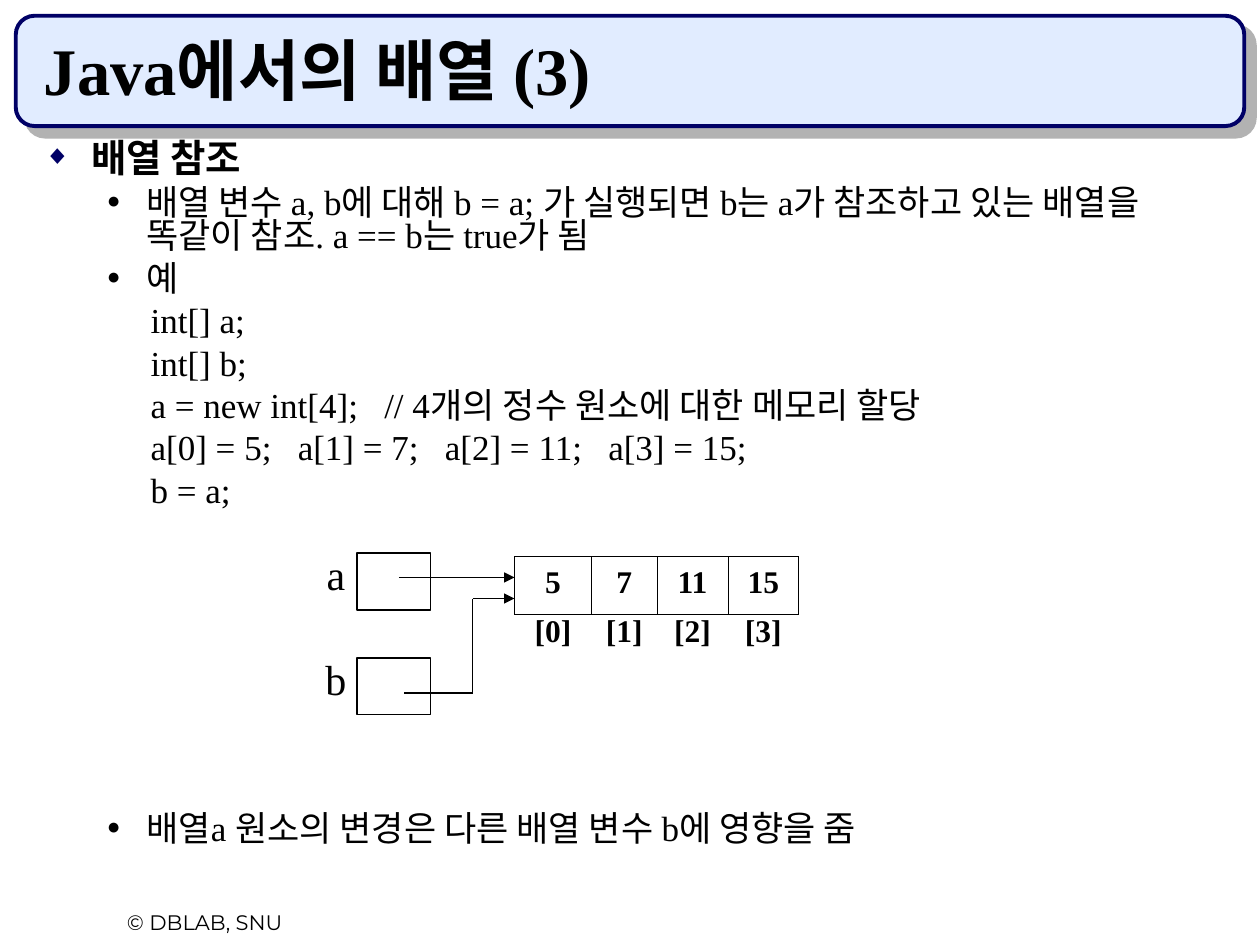
from itertools import accumulate

from lxml import etree
from pptx import Presentation
from pptx.dml.color import RGBColor
from pptx.enum import shapes, text
from pptx.oxml import parse_xml
from pptx.oxml.ns import nsdecls, qn
from pptx.util import Pt

SERIF = "Times New Roman"
BLACK, NAVY, PALE, GREY = "000000", "000066", "E1ECFF", "B2B2B2"
CENTER = text.PP_ALIGN.CENTER

TITLE = "Java에서의 배열 (3)"
FOOTER = "© DBLAB, SNU"
# (style, text, space before)
BODY = [
    ("topic", "배열 참조", 0),
    ("point", "배열 변수 a, b에 대해 b = a; 가 실행되면 b는 a가 참조하고 있는 "
              "배열을 똑같이 참조. a == b는 true가 됨", 5),
    ("point", "예", 5),
    ("code", "     int[] a;", 5),
    ("code", "     int[] b;", 5),
    ("code", "     a = new int[4];   // 4개의 정수 원소에 대한 메모리 할당", 5),
    ("code", "     a[0] = 5;   a[1] = 7;   a[2] = 11;   a[3] = 15;", 5),
    ("code", "     b = a;", 5),
    ("point", "배열a 원소의 변경은 다른 배열 변수 b에 영향을 줌", 174),
]
STYLES = {
    "topic": dict(size=22, bold=True, margin=27, hang=27, bullet=("◆", NAVY, 70)),
    "point": dict(size=20, margin=58.5, hang=22.5, bullet=("●", BLACK, 65)),
    "code": dict(size=20, margin=58.5, hang=22.5),
}
ARRAY = [["5", "7", "11", "15"], ["[0]", "[1]", "[2]", "[3]"]]
ARRAY_LEFT, ARRAY_TOP = 294, 318
COLUMN_WIDTHS, ROW_HEIGHTS = [44, 37.5, 40.5, 40.5], [33, 57]
VARIABLES = [("a", 316), ("b", 376)]
# (points along the path, ending at the array)
REFERENCES = [
    [(228, 330), (ARRAY_LEFT, 330)],
    [(231, 396), (270, 396), (270, 342), (ARRAY_LEFT, 342)],
]


def color(hex_string):
    return RGBColor.from_string(hex_string)


def add_bullet(paragraph, char, hex_string, percent):
    props = paragraph._p.get_or_add_pPr()
    for xml in (
        f'<a:buClr {nsdecls("a")}><a:srgbClr val="{hex_string}"/></a:buClr>',
        f'<a:buSzPct {nsdecls("a")} val="{percent * 1000}"/>',
        f'<a:buFont {nsdecls("a")} typeface="{SERIF}"/>',
        f'<a:buChar {nsdecls("a")} char="{char}"/>',
    ):
        props.append(parse_xml(xml))


def write(paragraph, words, size, font=SERIF, bold=False, align=None,
          spacing=None, before=0, margin=0, hang=0, bullet=None):
    if bullet:
        add_bullet(paragraph, *bullet)
    if margin:
        props = paragraph._p.get_or_add_pPr()
        props.set("marL", str(Pt(margin)))
        props.set("indent", str(-Pt(hang)))
    if before:
        paragraph.space_before = Pt(before)
    paragraph.alignment = align
    paragraph.line_spacing = spacing
    run = paragraph.add_run()
    run.text = words
    run.font.size = Pt(size)
    run.font.name = font
    run.font.bold = bold
    run.font.color.rgb = color(BLACK)


def add_frame(slide, left, top, width, height, anchor=text.MSO_ANCHOR.TOP):
    frame = slide.shapes.add_textbox(Pt(left), Pt(top), Pt(width), Pt(height)).text_frame
    frame.word_wrap = True
    frame.vertical_anchor = anchor
    return frame


def add_box(slide, kind, left, top, width, height, line, weight, fill=None):
    box = slide.shapes.add_shape(kind, Pt(left), Pt(top), Pt(width), Pt(height))
    box.shadow.inherit = False
    if fill:
        box.fill.solid()
        box.fill.fore_color.rgb = color(fill)
    else:
        box.fill.background()
    box.line.color.rgb = color(line)
    box.line.width = Pt(weight)
    return box


def add_banner(slide):
    banner = add_box(slide, shapes.MSO_SHAPE.ROUNDED_RECTANGLE,
                     9, 9, 702, 63, NAVY, 2.25, PALE)
    banner.adjustments[0] = 0.17
    effects = banner._element.spPr.find(qn("a:effectLst"))
    effects.append(parse_xml(
        f'<a:outerShdw {nsdecls("a")} dist="{Pt(8.5)}" dir="2700000" algn="ctr" '
        f'rotWithShape="0"><a:srgbClr val="{GREY}"/></a:outerShdw>'))


def add_line(slide, start, end, arrow=False):
    line = slide.shapes.add_connector(
        shapes.MSO_CONNECTOR.STRAIGHT, *(Pt(value) for value in start + end))
    line.line.color.rgb = color(BLACK)
    line.line.width = Pt(0.75)
    if arrow:
        etree.SubElement(line.line._get_or_add_ln(), qn("a:tailEnd"), type="triangle")
    etree.SubElement(line._element.spPr, qn("a:effectLst"))


def set_borders(cell, visible):
    """Draw the sides named in visible, and hide the others."""
    props = cell._tc.get_or_add_tcPr()
    for side in "LRTB":
        paint = (f'<a:solidFill><a:srgbClr val="{BLACK}"/></a:solidFill>'
                 if side in visible else "<a:noFill/>")
        props.append(parse_xml(
            f'<a:ln{side} {nsdecls("a")} w="{Pt(0.45)}">{paint}</a:ln{side}>'))


def add_array(slide):
    table = slide.shapes.add_table(
        len(ROW_HEIGHTS), len(COLUMN_WIDTHS), Pt(ARRAY_LEFT), Pt(ARRAY_TOP),
        Pt(sum(COLUMN_WIDTHS)), Pt(sum(ROW_HEIGHTS))).table
    table.first_row = table.horz_banding = False
    for column, width in zip(table.columns, COLUMN_WIDTHS):
        column.width = Pt(width)
    looks = [("LRTB", text.MSO_ANCHOR.MIDDLE), ("T", text.MSO_ANCHOR.TOP)]
    for row, height, labels, (sides, anchor) in zip(table.rows, ROW_HEIGHTS, ARRAY, looks):
        row.height = Pt(height)
        for cell, label in zip(row.cells, labels):
            set_borders(cell, sides)
            cell.fill.background()
            cell.vertical_anchor = anchor
            write(cell.text_frame.paragraphs[0], label, 18, bold=True,
                  align=CENTER, spacing=0.8)


def main():
    deck = Presentation()
    deck.slide_width, deck.slide_height = Pt(720), Pt(540)
    slide = deck.slides.add_slide(deck.slide_layouts[6])

    add_banner(slide)
    footer = add_frame(slide, 30, 516, 174, 21.6)
    write(footer.paragraphs[0], FOOTER, 12, font="Montserrat", align=CENTER)
    title = add_frame(slide, 18, 18, 678, 48, text.MSO_ANCHOR.BOTTOM)
    write(title.paragraphs[0], TITLE, 38, bold=True)

    body = add_frame(slide, 18, 78, 678, 420)
    for index, (style, words, before) in enumerate(BODY):
        paragraph = body.add_paragraph() if index else body.paragraphs[0]
        write(paragraph, words, before=before, spacing=0.8, **STYLES[style])

    add_array(slide)
    for name, top in VARIABLES:
        add_box(slide, shapes.MSO_SHAPE.RECTANGLE, 204, top, 42, 32.5, BLACK, 0.75)
        label = add_frame(slide, 156, top - 6, 72, 36)
        write(label.paragraphs[0], name, 24, align=CENTER)
    for path in REFERENCES:
        for start, end in zip(path, path[1:]):
            add_line(slide, start, end, arrow=end == path[-1])

    deck.save("out.pptx")


if __name__ == "__main__":
    main()
